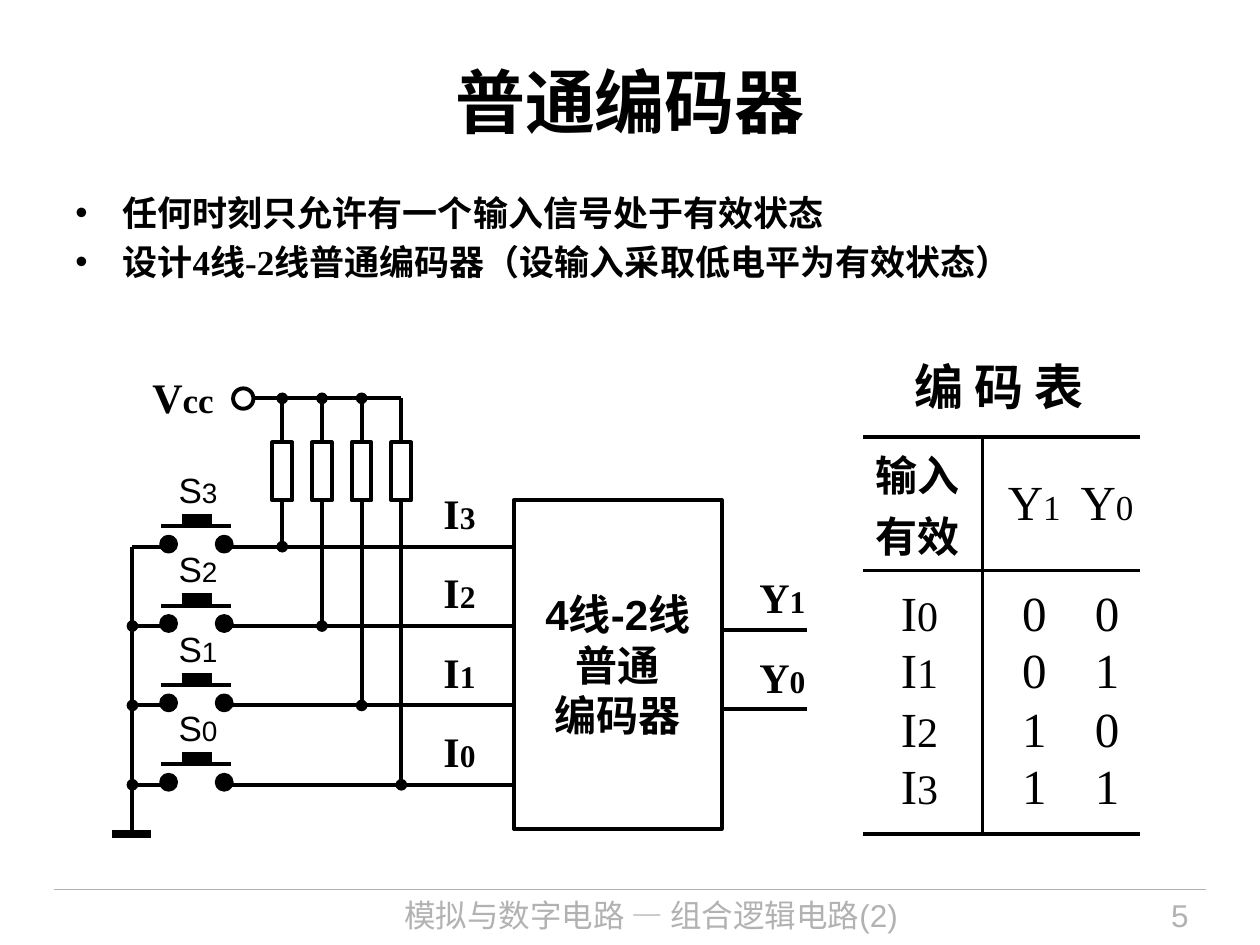
"""Build a slide on the 4-to-2 line encoder with its circuit and code table."""
from lxml import etree
from pptx import Presentation
from pptx import util as u
from pptx.dml.color import RGBColor
from pptx.enum import shapes, text
from pptx.oxml.ns import qn

BLACK = RGBColor(0, 0, 0)
WHITE = RGBColor(255, 255, 255)
GREY = RGBColor(0xB2, 0xB2, 0xB2)
ARIAL, TIMES = "Arial", "Times New Roman"
LEFT, CENTER, RIGHT = text.PP_ALIGN.LEFT, text.PP_ALIGN.CENTER, text.PP_ALIGN.RIGHT
TOP, MIDDLE, BOTTOM = text.MSO_ANCHOR.TOP, text.MSO_ANCHOR.MIDDLE, text.MSO_ANCHOR.BOTTOM
OVAL, RECT = shapes.MSO_SHAPE.OVAL, shapes.MSO_SHAPE.RECTANGLE

TITLE = "普通编码器"
BULLETS = ["任何时刻只允许有一个输入信号处于有效状态",
           "设计4线-2线普通编码器（设输入采取低电平为有效状态）"]
BLOCK_LINES = ["4线-2线", "普通", "编码器"]
CAPTION = "编 码 表"
TABLE_HEAD = [["输入", "有效"], [("Y", "1")], [("Y", "0")]]
CODES = [("0", "0", "0"), ("1", "0", "1"), ("2", "1", "0"), ("3", "1", "1")]
FOOTER, PAGE_NUMBER = "模拟与数字电路 — 组合逻辑电路(2)", "5"
INPUTS, OUTPUTS = "3210", "10"

PITCH = 1.6
FIRST_WIRE, FIRST_OUTPUT = 11.02, 12.7
BUS, CONTACT, SWITCH_END = 2.67, 3.25, 4.65
RAIL, GROUND = 8.03, 16.81
FIRST_RESISTOR, RESISTOR_GAP = 5.69, 0.8
BLOCK = (10.36, 10.08, 4.19, 6.63)
COLUMNS = [2.41, 1.83, 1.35]
ROWS = [2.69, 1.45, 1.19, 1.19, 1.48]
ROW_ANCHORS = [MIDDLE, BOTTOM, MIDDLE, MIDDLE, TOP]

deck = Presentation()
deck.slide_width, deck.slide_height = u.Cm(25.4), u.Cm(19.05)
page = deck.slides.add_slide(deck.slide_layouts[6])


def cm(*lengths):
    return [u.Cm(round(length, 2)) for length in lengths]


def write(frame, lines, size, small=None, font=ARIAL, bold=False, color=BLACK, align=LEFT):
    """Write lines; a tuple holds a letter and its smaller index."""
    for number, line in enumerate(lines):
        para = frame.paragraphs[0] if number == 0 else frame.add_paragraph()
        para.alignment = align
        parts = line if isinstance(line, tuple) else (line,)
        for part, points in zip(parts, (size, small)):
            span = para.add_run()
            span.text = part
            look = {"size": u.Pt(points), "name": font, "bold": bold}
            for name, value in look.items():
                setattr(span.font, name, value)
            span.font.color.rgb = color


def label(place, lines, size, small=None, wrap=False, anchor=TOP, margin=None, **look):
    frame = page.shapes.add_textbox(*cm(*place)).text_frame
    frame.word_wrap, frame.vertical_anchor = wrap, anchor
    if margin is not None:
        for side in ("left", "top", "right", "bottom"):
            setattr(frame, "margin_" + side, u.Cm(margin))
    write(frame, lines, size, small, **look)
    return frame


def wire(x1, y1, x2, y2, width=2.25, color=BLACK, dots=()):
    line = page.shapes.add_connector(shapes.MSO_CONNECTOR.STRAIGHT, *cm(x1, y1, x2, y2))
    line.line.width = u.Pt(width)
    line.line.color.rgb = color
    for end in dots:
        etree.SubElement(line.line._get_or_add_ln(), qn("a:" + end), type="oval")
    etree.SubElement(line._element.spPr, qn("a:effectLst"))


def outline(kind, place, fill=None):
    shape = page.shapes.add_shape(kind, *cm(*place))
    shape.shadow.inherit = False
    shape.line.color.rgb, shape.line.width = BLACK, u.Pt(2.25)
    if fill is None:
        shape.fill.background()
    else:
        shape.fill.solid()
        shape.fill.fore_color.rgb = fill
    return shape


def add_borders(cell, sides):
    """Rule the named sides of a cell and clear the others."""
    props = cell._tc.get_or_add_tcPr()
    for position, side in enumerate("LRTB"):
        border = etree.Element(qn("a:ln" + side), w=str(u.Pt(2.25)))
        if side in sides:
            fill = etree.SubElement(border, qn("a:solidFill"))
            etree.SubElement(fill, qn("a:srgbClr"), val=str(BLACK))
        else:
            etree.SubElement(border, qn("a:noFill"))
        props.insert(position, border)


def draw_switch(y, index):
    wire(BUS, y, CONTACT, y, dots=("headEnd",) if index else ())
    for x in (CONTACT, 4.37):
        outline(OVAL, (x, y - 0.2, 0.3, 0.3), BLACK)
    wire(CONTACT, y - 0.41, SWITCH_END, y - 0.41)
    wire(3.66, y - 0.52, 4.27, y - 0.52, width=8)
    wire(SWITCH_END, y, BLOCK[0], y)


def draw_resistor(x, y, last):
    wire(x, y, x, RAIL, dots=("headEnd",) if last else ("headEnd", "tailEnd"))
    outline(RECT, (x - 0.2, 8.92, 0.4, 1.17), WHITE)


def draw_circuit():
    label((3.07, 7.49, 1.24, 1.02), [("V", "cc")], 24, 20, anchor=MIDDLE, margin=0,
          font=TIMES, bold=True, align=CENTER)
    outline(OVAL, (4.7, 7.83, 0.41, 0.41))
    last = len(INPUTS) - 1
    wire(5.11, RAIL, FIRST_RESISTOR + last * RESISTOR_GAP, RAIL)
    wire(BUS, FIRST_WIRE, BUS, GROUND)
    wire(2.26, GROUND, 3.05, GROUND, width=4.5)
    for index, name in enumerate(INPUTS):
        y = FIRST_WIRE + index * PITCH
        draw_switch(y, index)
        draw_resistor(FIRST_RESISTOR + index * RESISTOR_GAP, y, index == last)
        label((3.35, y - 1.7, 1.3, 1.09), [("S", name)], 20, 16)
        label((8.69, y - 1.32, 1.17, 1.27), [("I", name)], 24, 18, font=TIMES, bold=True)
    block = outline(RECT, BLOCK).text_frame
    block.word_wrap, block.vertical_anchor = False, MIDDLE
    write(block, BLOCK_LINES, 24, bold=True, align=CENTER)
    for index, name in enumerate(OUTPUTS):
        y = FIRST_OUTPUT + index * PITCH
        wire(BLOCK[0] + BLOCK[2], y, 16.26, y)
        label((15.06, y - 1.3, 1.45, 1.27), [("Y", name)], 24, 18, font=TIMES, bold=True)


def draw_table():
    label((18.19, 7.06, 3.99, 1.45), [CAPTION], 28, font=TIMES, bold=True)
    place = cm(17.4, 8.81, sum(COLUMNS), sum(ROWS))
    table = page.shapes.add_table(len(ROWS), len(COLUMNS), *place).table
    table.first_row = table.horz_banding = False
    for column, width in zip(table.columns, COLUMNS):
        column.width = u.Cm(width)
    body = [[[("I", name)], [high], [low]] for name, high, low in CODES]
    for r, values in enumerate([TABLE_HEAD] + body):
        table.rows[r].height = u.Cm(ROWS[r])
        for c, lines in enumerate(values):
            cell = table.cell(r, c)
            indent = (0.25 if r == 0 else 0.76, 0.25, 0)[c]
            margins = {"left": indent, "right": 0, "top": 0, "bottom": 0}
            for side, value in margins.items():
                setattr(cell, "margin_" + side, u.Cm(value))
            cell.vertical_anchor = ROW_ANCHORS[r]
            cell.fill.background()
            sides = ("R", "L", "")[c] + "T" * (r < 2) + "B" * (r in (0, len(CODES)))
            add_borders(cell, sides)
            if r == c == 0:
                write(cell.text_frame, lines, 24, bold=True)
            else:
                write(cell.text_frame, lines, 28, 24 if r else 20, font=TIMES,
                      align=CENTER if c else LEFT)


def draw_text():
    label((1.27, 0.43, 22.86, 3.18), [TITLE], 40, wrap=True, anchor=MIDDLE, bold=True,
          align=CENTER)
    body = label((1.27, 3.73, 22.86, 3.33), BULLETS, 20, wrap=True, font=TIMES, bold=True)
    for para in body.paragraphs:
        para.space_after = u.Pt(4)
        props = para._p.get_or_add_pPr()
        props.set("marL", str(u.Cm(0.95)))
        props.set("indent", str(u.Cm(-0.95)))
        etree.SubElement(props, qn("a:buFont"), typeface=ARIAL)
        etree.SubElement(props, qn("a:buChar"), char="•")
    wire(1.09, 17.93, 24.31, 17.93, width=0.75, color=GREY)
    label((6.32, 17.93, 13.61, 1.12), [FOOTER], 18, wrap=True, color=GREY, align=CENTER)
    label((20.83, 17.93, 3.38, 1.12), [PAGE_NUMBER], 18, wrap=True, color=GREY, align=RIGHT)


draw_text()
draw_circuit()
draw_table()
deck.save("out.pptx")
